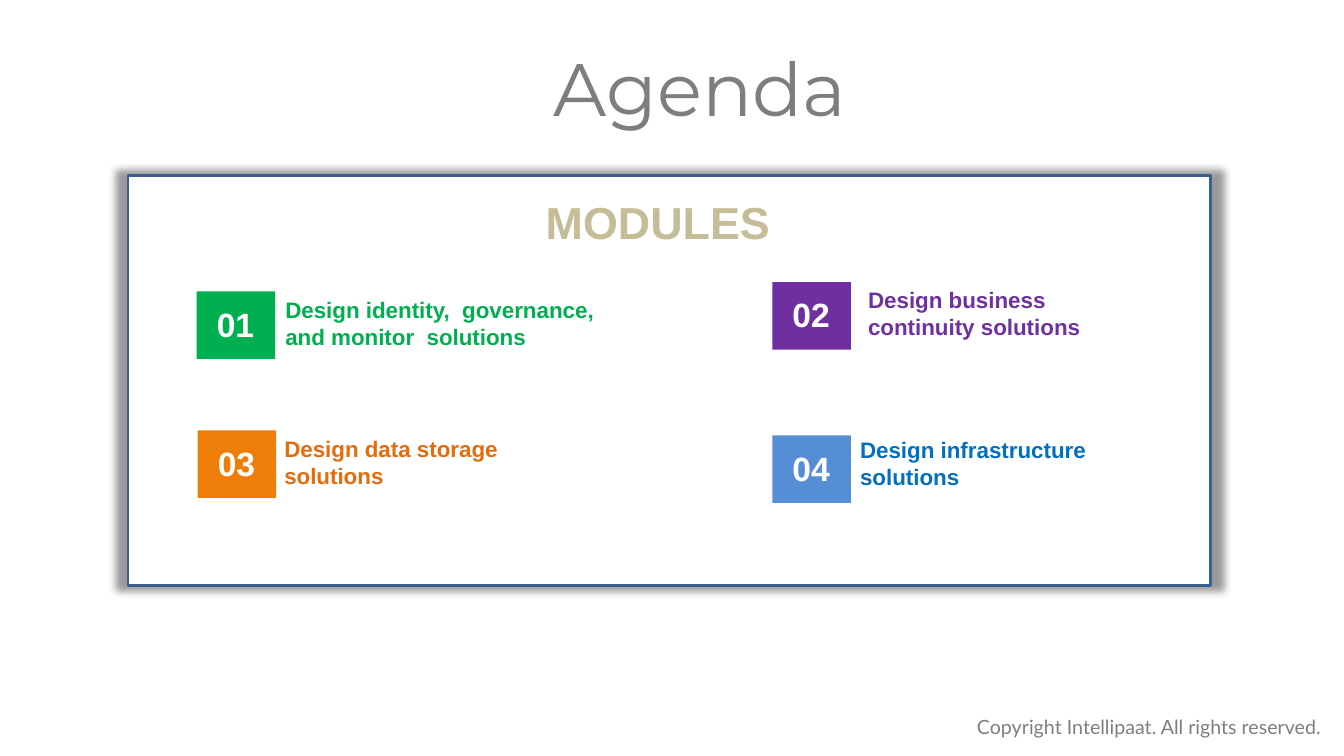
from lxml import etree
from pptx import Presentation
from pptx.dml.color import RGBColor
from pptx.enum.shapes import MSO_SHAPE as Shape
from pptx.enum.text import MSO_ANCHOR as Anchor, PP_ALIGN as Align
from pptx.oxml.ns import qn
from pptx.util import Inches, Pt

COLORS = {
    "white": "FFFFFF", "black": "000000", "gray": "7E7E7E",
    "border": "3A5F8C", "heading": "C4BD97",
    "green": "00AF4F", "green_text": "00B050",
    "orange": "EF7E08", "orange_text": "E46C0A",
    "purple": "702FA0", "purple_text": "7030A0",
    "blue": "558ED5", "blue_text": "0070C0",
}
PANEL = (1.27, 1.74, 10.74, 4.07)
BADGE_SIZE = (0.78, 0.67)
# Number, label, colour, badge offset in the panel, label offset from the badge, label width
MODULES = [
    ("01", "Design identity,  governance, and monitor  solutions", "green",
     (0.68, 1.15), (0.87, 0.04), 3.36),
    ("02", "Design business continuity solutions", "purple",
     (6.39, 1.06), (0.94, 0.03), 2.64),
    ("03", "Design data storage solutions", "orange",
     (0.69, 2.53), (0.85, 0.04), 2.7),
    ("04", "Design infrastructure solutions", "blue",
     (6.39, 2.58), (0.86, 0), 2.85),
]


def rgb(name):
    return RGBColor.from_string(COLORS[name])


def write(shape, text, *, size, color, font="Arial", bold=False,
          align=Align.LEFT, left=0.01, top=0.01, wrap=True):
    frame = shape.text_frame
    frame.word_wrap = wrap
    frame.vertical_anchor = Anchor.TOP
    frame.margin_left, frame.margin_top = Inches(left), Inches(top)
    frame.margin_right = frame.margin_bottom = 0
    paragraph = frame.paragraphs[0]
    paragraph.alignment = align
    run = paragraph.add_run()
    run.text = text
    run.font.name, run.font.size, run.font.bold = font, Pt(size), bold
    run.font.color.rgb = rgb(color)


def add_text(slide, box, text, **style):
    write(slide.shapes.add_textbox(*map(Inches, box)), text, **style)


def add_rectangle(slide, box, fill):
    shape = slide.shapes.add_shape(Shape.RECTANGLE, *map(Inches, box))
    shape.shadow.inherit = False
    shape.fill.solid()
    shape.fill.fore_color.rgb = rgb(fill)
    shape.line.fill.background()
    return shape


def add_glow_shadow(shape):
    """Give the shape a soft shadow that is slightly larger on every side."""
    effects = shape._element.spPr.find(qn("a:effectLst"))
    shadow = etree.SubElement(effects, qn("a:outerShdw"), blurRad=str(Pt(5)),
                              sx="102000", sy="102000", algn="ctr", rotWithShape="0")
    color = etree.SubElement(shadow, qn("a:srgbClr"), val=COLORS["black"])
    etree.SubElement(color, qn("a:alpha"), val="40000")


def add_module(slide, left, top, number, label, color, label_offset, label_width):
    badge = add_rectangle(slide, (left, top, *BADGE_SIZE), color)
    write(badge, number, size=24, color="white", bold=True, left=0.2, top=0.12)
    label_box = (left + label_offset[0], top + label_offset[1], label_width, 0.55)
    add_text(slide, label_box, label, size=16, color=f"{color}_text", bold=True)


def add_modules_panel(slide, box):
    left, top = box[:2]
    panel = add_rectangle(slide, box, "white")
    panel.line.color.rgb = rgb("border")
    panel.line.width = Pt(2)
    add_glow_shadow(panel)
    add_text(slide, (left + 4.03, top + 0.14, 2.45, 0.64), "MODULES", size=32,
             color="heading", bold=True, align=Align.CENTER, left=0, top=0.05, wrap=False)
    for number, label, color, (dx, dy), label_offset, label_width in MODULES:
        add_module(slide, left + dx, top + dy, number, label, color,
                   label_offset, label_width)


def main():
    presentation = Presentation()
    presentation.slide_width, presentation.slide_height = Inches(13.33), Inches(7.5)
    slide = presentation.slides.add_slide(presentation.slide_layouts[6])
    add_text(slide, (5.48, 0.4, 3.53, 0.91), "Agenda", size=53, color="gray",
             font="Montserrat", top=0.02)
    add_modules_panel(slide, PANEL)
    add_text(slide, (9.68, 7.08, 3.46, 0.26), "Copyright Intellipaat. All rights reserved.",
             size=14, color="gray", font="Lato")
    presentation.save("out.pptx")


if __name__ == "__main__":
    main()
